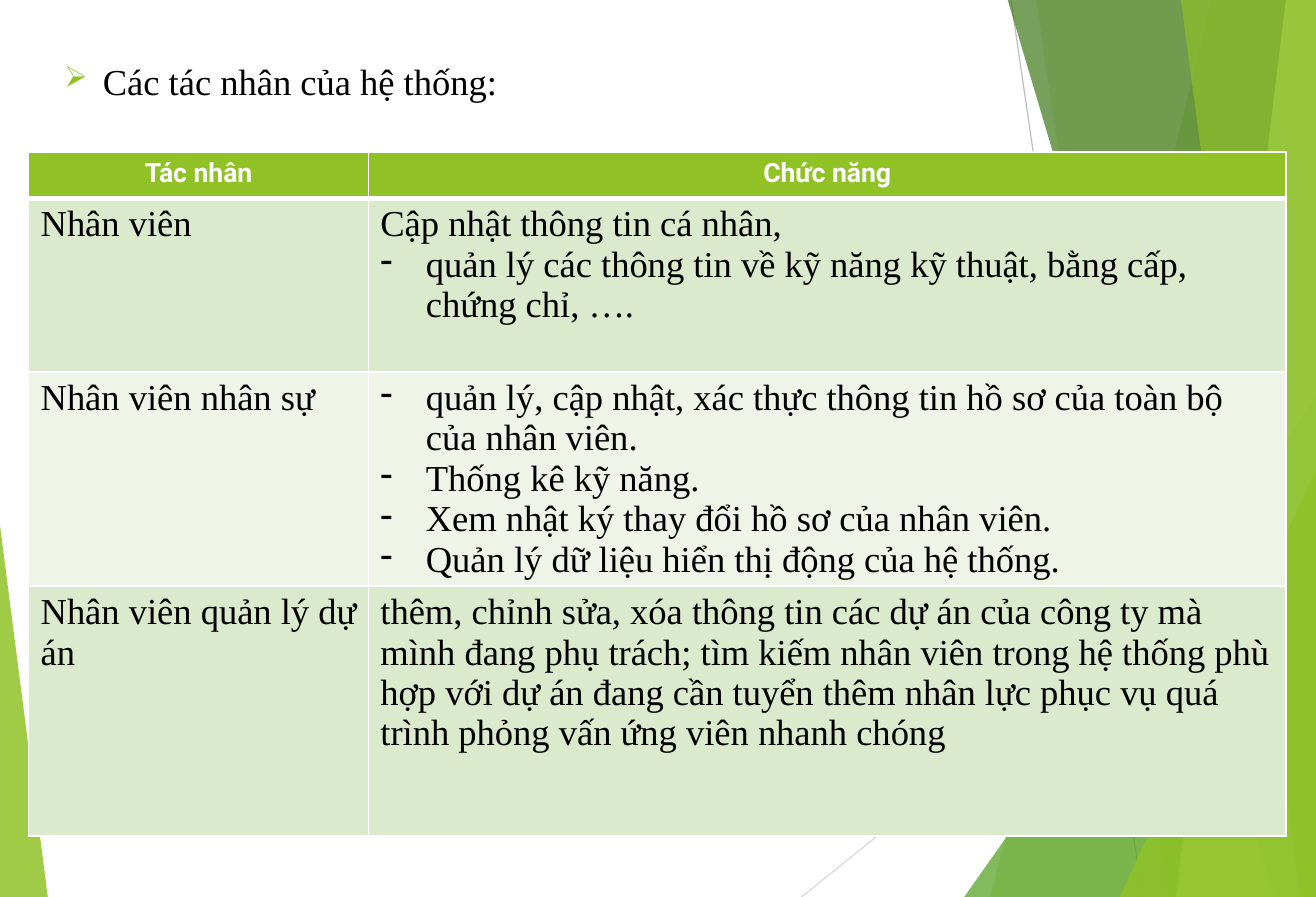
"""Build the slide that lists the actors of the system and their functions."""
from dataclasses import dataclass
from typing import Optional

from lxml import etree
from pptx import Presentation
from pptx import util as u
from pptx.dml.color import RGBColor
from pptx.enum import shapes, text
from pptx.oxml.ns import qn

PX = 9144
WIDTH, HEIGHT = 1100, 750


@dataclass(frozen=True)
class Theme:
    accent: str = "90C226"
    green: str = "54A021"
    dark: str = "3F7819"
    pale: str = "C0E474"
    band: str = "DBE9CD"
    band_alt: str = "EEF4E8"
    white: str = "FFFFFF"
    ink: str = "000000"
    line: str = "BFBFBF"
    line_light: str = "D9D9D9"
    body_font: str = "Times New Roman"
    head_font: str = "Roboto"
    body_pt: int = 22
    head_pt: int = 16


@dataclass(frozen=True)
class Ray:
    start: tuple[int, int]
    end: tuple[int, int]
    color: str


@dataclass(frozen=True)
class Facet:
    top_x: int
    bottom_x: int
    color: str
    opacity: int


@dataclass(frozen=True)
class Wedge:
    left: int
    top: int
    width: int
    apex: int
    color: str
    opacity: int


@dataclass(frozen=True)
class Line:
    text: str
    bullet: Optional[str] = None


@dataclass(frozen=True)
class Actor:
    name: str
    height: int
    duties: tuple[Line, ...]


T = Theme()
RAYS = (
    Ray((845, 0), (955, HEIGHT), T.line),
    Ray((WIDTH, 403), (670, HEIGHT), T.line_light),
)
DECOR = (
    Facet(1013, 828, T.accent, 30),
    Facet(866, 976, T.accent, 20),
    Wedge(806, 333, 294, 1, T.green, 72),
    Facet(842, 1065, T.dark, 70),
    Facet(1075, 983, T.pale, 70),
    Facet(987, 1087, T.accent, 65),
    Wedge(936, 393, 164, 1, T.accent, 80),
    Wedge(0, 439, 40, 0, T.accent, 85),
)
HEADINGS = ("Tác nhân", "Chức năng")
HEAD_HEIGHT = 39
COLUMNS = (284, 767)
ACTORS = (
    Actor("Nhân viên", 145, (
        Line("Cập nhật thông tin cá nhân,"),
        Line("quản lý các thông tin về kỹ năng kỹ thuật, bằng cấp, chứng chỉ, ….", "-"),
    )),
    Actor("Nhân viên nhân sự", 179, (
        Line("quản lý, cập nhật, xác thực thông tin hồ sơ của toàn bộ của nhân viên.", "-"),
        Line("Thống kê kỹ năng.", "-"),
        Line("Xem nhật ký thay đổi hồ sơ của nhân viên.", "-"),
        Line("Quản lý dữ liệu hiển thị động của hệ thống.", "-"),
    )),
    Actor("Nhân viên quản lý dự án", 209, (
        Line("thêm, chỉnh sửa, xóa thông tin các dự án của công ty mà mình đang phụ trách; "
             "tìm kiếm nhân viên trong hệ thống phù hợp với dự án đang cần tuyển thêm "
             "nhân lực phục vụ quá trình phỏng vấn ứng viên nhanh chóng"),
    )),
)


def rgb(color: str) -> RGBColor:
    return RGBColor.from_string(color)


def px(*lengths: int) -> list[int]:
    return [u.Emu(n * PX) for n in lengths]


def draw_ray(slide, ray: Ray) -> None:
    line = slide.shapes.add_connector(
        shapes.MSO_CONNECTOR.STRAIGHT, *px(*ray.start, *ray.end))
    line.line.color.rgb = rgb(ray.color)
    line.line.width = u.Pt(0.75)
    etree.SubElement(line._element.spPr, qn("a:effectLst"))


def draw_decor(slide, item: Facet | Wedge) -> None:
    if isinstance(item, Facet):
        fb = slide.shapes.build_freeform(item.top_x, -1, scale=PX)
        fb.add_line_segments(
            [(WIDTH, -1), (WIDTH, HEIGHT), (item.bottom_x, HEIGHT)], close=True)
        sp = fb.convert_to_shape()
    else:
        sp = slide.shapes.add_shape(
            shapes.MSO_SHAPE.ISOSCELES_TRIANGLE,
            *px(item.left, item.top, item.width, HEIGHT - item.top))
        sp.adjustments[0] = item.apex
    sp.shadow.inherit = False
    sp.line.fill.background()
    sp.fill.solid()
    sp.fill.fore_color.rgb = rgb(item.color)
    clr = sp._element.spPr.find(qn("a:solidFill"))[0]
    etree.SubElement(clr, qn("a:alpha"), val=str(item.opacity * 1000))


def style(p, font: str, size: int, color: str, bold: bool = False) -> None:
    for r in p.runs:
        r.font.name, r.font.size, r.font.bold = font, u.Pt(size), bold
        r.font.color.rgb = rgb(color)


def add_bullet(p, char: str, indent: int, color: str, percent: int = 100) -> None:
    pPr = p._p.get_or_add_pPr()
    pPr.set("marL", str(indent * PX))
    pPr.set("indent", str(-indent * PX))
    clr = etree.SubElement(pPr, qn("a:buClr"))
    etree.SubElement(clr, qn("a:srgbClr"), val=color)
    etree.SubElement(pPr, qn("a:buSzPct"), val=str(percent * 1000))
    etree.SubElement(pPr, qn("a:buChar"), char=char)


def paint_cell(cell, fill: str, bottom_pt: int = 1) -> None:
    cell.fill.solid()
    cell.fill.fore_color.rgb = rgb(fill)
    tcPr = cell._tc.get_or_add_tcPr()
    for i, side in enumerate("LRTB"):
        width = u.Pt(bottom_pt if side == "B" else 1)
        ln = etree.Element(qn(f"a:ln{side}"), w=str(width))
        solid = etree.SubElement(ln, qn("a:solidFill"))
        etree.SubElement(solid, qn("a:srgbClr"), val=T.white)
        tcPr.insert(i, ln)


def write_cell(cell, lines: tuple[Line, ...]) -> None:
    tf = cell.text_frame
    tf.text = "\n".join(line.text for line in lines)
    for p, line in zip(tf.paragraphs, lines):
        style(p, T.body_font, T.body_pt, T.ink)
        if line.bullet:
            add_bullet(p, line.bullet, 38, T.ink)


def draw_table(slide) -> None:
    heights = (HEAD_HEIGHT, *(actor.height for actor in ACTORS))
    table = slide.shapes.add_table(
        len(heights), len(COLUMNS), *px(24, 127, sum(COLUMNS), sum(heights))).table
    for column, width in zip(table.columns, px(*COLUMNS)):
        column.width = width
    for row, height in zip(table.rows, px(*heights)):
        row.height = height
    for c, heading in enumerate(HEADINGS):
        cell = table.cell(0, c)
        cell.text_frame.text = heading
        p = cell.text_frame.paragraphs[0]
        p.alignment = text.PP_ALIGN.CENTER
        style(p, T.head_font, T.head_pt, T.white, bold=True)
        paint_cell(cell, T.accent, bottom_pt=3)
    for r, actor in enumerate(ACTORS, 1):
        for c, lines in enumerate(((Line(actor.name),), actor.duties)):
            write_cell(table.cell(r, c), lines)
            paint_cell(table.cell(r, c), T.band if r % 2 else T.band_alt)


def write_title(slide) -> None:
    title = slide.shapes.title
    title.left, title.top, title.width, title.height = px(44, 44, 1056, 611)
    tf = title.text_frame
    tf.text = "Các tác nhân của hệ thống:"
    tf.word_wrap = True
    tf.vertical_anchor = text.MSO_ANCHOR.TOP
    p = tf.paragraphs[0]
    p.alignment = text.PP_ALIGN.LEFT
    p.space_before = u.Pt(8.6)
    style(p, T.body_font, T.body_pt, T.ink)
    add_bullet(p, "➢", 32, T.accent, 80)


def main() -> None:
    prs = Presentation()
    prs.slide_width, prs.slide_height = px(WIDTH, HEIGHT)
    slide = prs.slides.add_slide(prs.slide_layouts[5])
    for ray in RAYS:
        draw_ray(slide, ray)
    for item in DECOR:
        draw_decor(slide, item)
    draw_table(slide)
    write_title(slide)
    prs.save("out.pptx")


if __name__ == "__main__":
    main()
